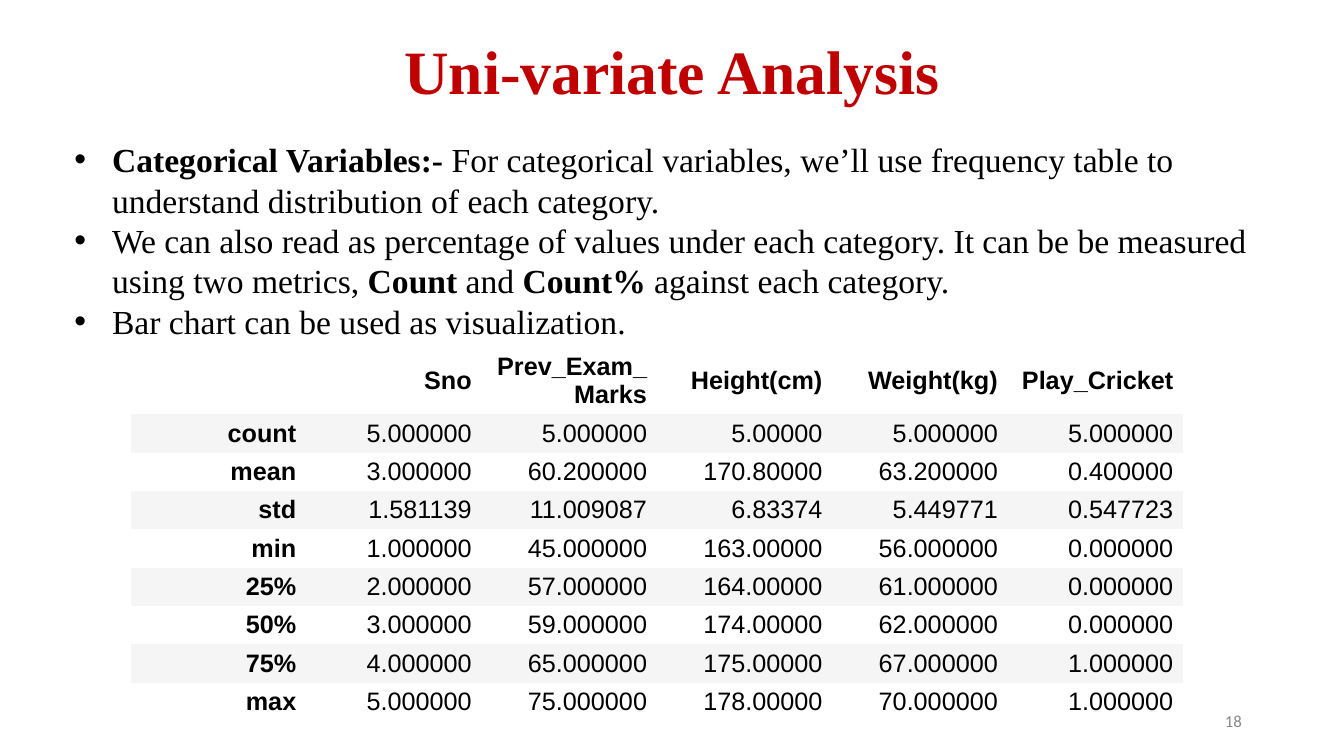
from dataclasses import dataclass

from lxml.etree import SubElement
from pptx import Presentation
from pptx.dml.color import RGBColor
from pptx.enum.text import MSO_ANCHOR, PP_ALIGN
from pptx.oxml.ns import qn
from pptx.util import Cm, Pt

COLORS = {
    "title": "C00000",
    "text": "000000",
    "number": "888888",
    "white": "FFFFFF",
    "band": "F5F5F5",
}
PLAIN_TABLE_STYLE = "{2D5ABB26-0587-4C30-8999-92F81FD0307C}"
BULLET_INDENT = Cm(0.95)


@dataclass(frozen=True)
class Box:
    left: float
    top: float
    width: float
    height: float

    def lengths(self) -> tuple:
        return Cm(self.left), Cm(self.top), Cm(self.width), Cm(self.height)


@dataclass(frozen=True)
class TextPart:
    text: str
    bold: bool = False


@dataclass(frozen=True)
class StatisticRow:
    label: str
    values: tuple


TITLE_BOX = Box(2.34, 0.05, 29.21, 3.68)
BODY_BOX = Box(1.62, 3.38, 30.96, 5.38)
TABLE_BOX = Box(3.3, 8.76, 26.52, 8.17)
NUMBER_BOX = Box(23.93, 17.65, 7.62, 1.02)
HEADER_HEIGHT, ROW_HEIGHT = Cm(1.45), Cm(0.84)

BULLETS = [
    [TextPart("Categorical Variables:- ", True),
     TextPart("For categorical variables, we’ll use frequency table to "
              "understand distribution of each category.")],
    [TextPart("We can also read as percentage of values under each category. "
              "It can be be measured using two metrics, "),
     TextPart("Count", True), TextPart(" and "), TextPart("Count%", True),
     TextPart(" against each category.")],
    [TextPart("Bar chart can be used as visualization.")],
]

STATISTICS = [
    StatisticRow("", ("Sno", "Prev_Exam_Marks", "Height(cm)", "Weight(kg)", "Play_Cricket")),
    StatisticRow("count", ("5.000000", "5.000000", "5.00000", "5.000000", "5.000000")),
    StatisticRow("mean", ("3.000000", "60.200000", "170.80000", "63.200000", "0.400000")),
    StatisticRow("std", ("1.581139", "11.009087", "6.83374", "5.449771", "0.547723")),
    StatisticRow("min", ("1.000000", "45.000000", "163.00000", "56.000000", "0.000000")),
    StatisticRow("25%", ("2.000000", "57.000000", "164.00000", "61.000000", "0.000000")),
    StatisticRow("50%", ("3.000000", "59.000000", "174.00000", "62.000000", "0.000000")),
    StatisticRow("75%", ("4.000000", "65.000000", "175.00000", "67.000000", "1.000000")),
    StatisticRow("max", ("5.000000", "75.000000", "178.00000", "70.000000", "1.000000")),
]


def place(shape, box: Box) -> None:
    shape.left, shape.top, shape.width, shape.height = box.lengths()


def format_font(paragraph, name: str, size: int, color: str, bold: bool | None = None) -> None:
    font = paragraph.font
    font.name, font.size, font.bold = name, Pt(size), bold
    font.color.rgb = RGBColor.from_string(COLORS[color])


def add_bullet(paragraph) -> None:
    properties = paragraph._p.get_or_add_pPr()
    properties.set("marL", str(BULLET_INDENT))
    properties.set("indent", str(-BULLET_INDENT))
    SubElement(properties, qn("a:buFont")).set("typeface", "Arial")
    SubElement(properties, qn("a:buChar")).set("char", "•")


def fill_title(title) -> None:
    place(title, TITLE_BOX)
    title.text_frame.text = "Uni-variate Analysis"
    title.text_frame.vertical_anchor = MSO_ANCHOR.MIDDLE
    paragraph = title.text_frame.paragraphs[0]
    paragraph.alignment = PP_ALIGN.CENTER
    paragraph.line_spacing = 0.9
    format_font(paragraph, "Times New Roman", 44, "title", True)


def fill_body(body) -> None:
    place(body, BODY_BOX)
    frame = body.text_frame
    for index, parts in enumerate(BULLETS):
        paragraph = frame.add_paragraph() if index else frame.paragraphs[0]
        add_bullet(paragraph)
        paragraph.space_before = Pt(0)
        paragraph.line_spacing = Pt(28.8)
        format_font(paragraph, "Times New Roman", 24, "text")
        for part in parts:
            run = paragraph.add_run()
            run.text = part.text
            run.font.bold = part.bold


def add_statistics_table(slide) -> None:
    column_count = len(STATISTICS[0].values) + 1
    table = slide.shapes.add_table(len(STATISTICS), column_count, *TABLE_BOX.lengths()).table
    table.first_row = table.horz_banding = False
    table._tbl.tblPr.find(qn("a:tableStyleId")).text = PLAIN_TABLE_STYLE
    for row_index, statistic in enumerate(STATISTICS):
        table.rows[row_index].height = ROW_HEIGHT if row_index else HEADER_HEIGHT
        for column_index, text in enumerate((statistic.label, *statistic.values)):
            cell = table.cell(row_index, column_index)
            cell.text = text
            cell.vertical_anchor = MSO_ANCHOR.MIDDLE
            cell.fill.solid()
            shade = "band" if row_index % 2 else "white"
            cell.fill.fore_color.rgb = RGBColor.from_string(COLORS[shade])
            paragraph = cell.text_frame.paragraphs[0]
            paragraph.alignment = PP_ALIGN.RIGHT
            is_heading = row_index == 0 or column_index == 0
            format_font(paragraph, "Arial", 18, "text", is_heading)


def add_slide_number(slide) -> None:
    frame = slide.shapes.add_textbox(*NUMBER_BOX.lengths()).text_frame
    frame.word_wrap = True
    frame.vertical_anchor = MSO_ANCHOR.MIDDLE
    frame.text = "18"
    paragraph = frame.paragraphs[0]
    paragraph.alignment = PP_ALIGN.RIGHT
    format_font(paragraph, "Calibri", 12, "number")


def main() -> None:
    presentation = Presentation()
    presentation.slide_width, presentation.slide_height = Cm(33.87), Cm(19.05)
    slide = presentation.slides.add_slide(presentation.slide_layouts[1])

    # Title and explanation
    fill_title(slide.shapes.title)
    fill_body(slide.placeholders[1])

    # Summary statistics and page number
    add_statistics_table(slide)
    add_slide_number(slide)
    presentation.save("out.pptx")


if __name__ == "__main__":
    main()
